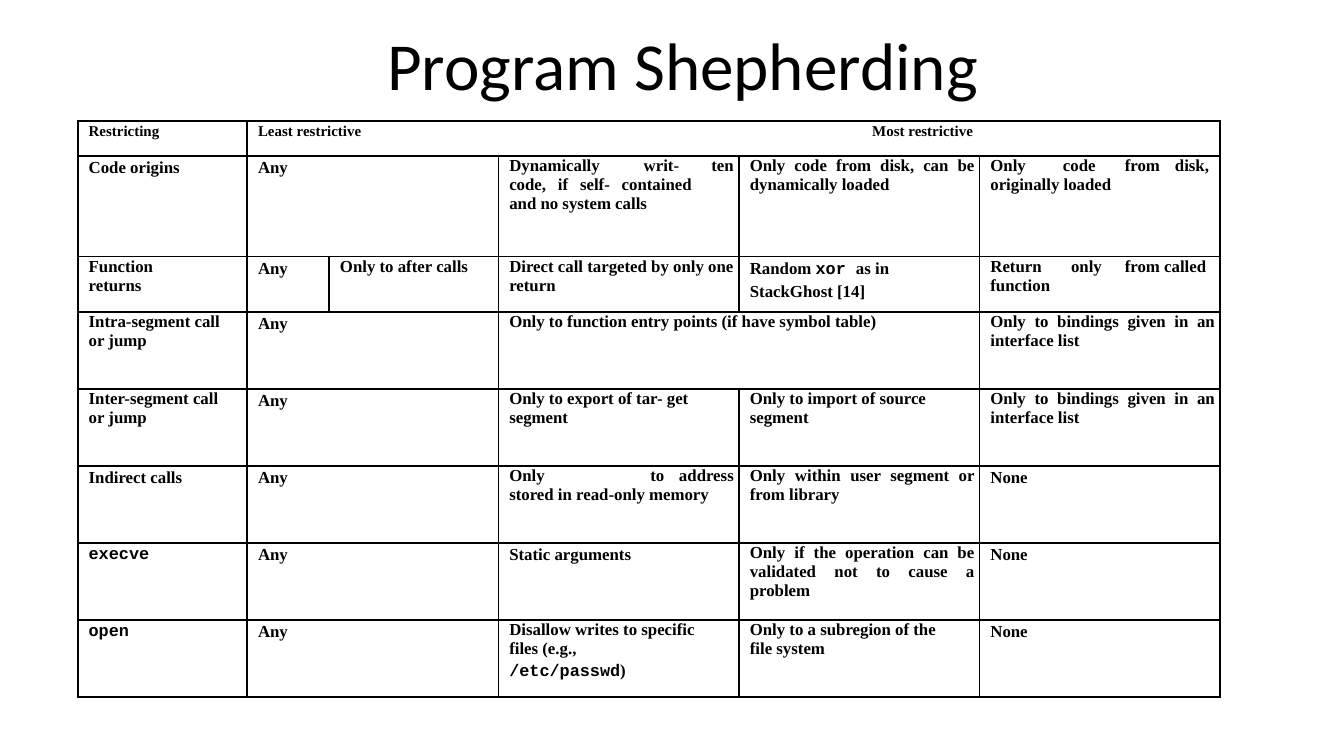
from lxml.etree import SubElement
from pptx import Presentation
from pptx.dml.color import RGBColor
from pptx.enum.text import MSO_ANCHOR, PP_ALIGN
from pptx.oxml.ns import qn
from pptx.util import Inches, Pt

BLACK = RGBColor(0, 0, 0)
LEFT_INDENT = 0.08
RIGHT_INDENT = 0.04
TABLE_HEIGHT = 4.29
COLUMN_WIDTHS = [1.26, 0.61, 1.26, 1.79, 1.79, 1.79]
TOP_ROWS = [0.26, 0.75, 0.41]
ROW_HEIGHTS = TOP_ROWS + [(TABLE_HEIGHT - sum(TOP_ROWS)) / 5] * 5

# Backticks mark monospaced words; a tuple holds several paragraphs.
ROWS = [
    ["Restricting", "Least restrictive\tMost restrictive", None, None, None, None],
    ["Code origins", "Any", None,
     "Dynamically\twrit- ten code, if self- contained\tand no system calls",
     "Only code from disk, can be dynamically loaded",
     "Only\tcode\tfrom disk,\t\toriginally loaded"],
    ["Function returns", "Any", "Only to after calls",
     "Direct call targeted by only one return",
     ("Random `xor `as in", "StackGhost [14]"),
     "Return\tonly\tfrom called function"],
    ["Intra-segment call or jump", "Any", None,
     "Only to function entry points (if have symbol table)", None,
     "Only to bindings given in an interface list"],
    ["Inter-segment call or jump", "Any", None,
     "Only to export of tar- get segment",
     "Only to import of source segment",
     "Only to bindings given in an interface list"],
    ["Indirect calls", "Any", None,
     "Only\tto address stored in read-only memory",
     "Only within user segment or from library", "None"],
    ["`execve`", "Any", None, "Static arguments",
     "Only if the operation can be validated not to cause a problem", "None"],
    ["`open`", "Any", None,
     ("Disallow writes to specific files (e.g.,", "`/etc/passwd`)"),
     "Only to a subregion of the file system", "None"],
]
# Row, first column, last column
MERGES = [(0, 1, 5), (3, 3, 4)] + [(row, 1, 2) for row in (1, 3, 4, 5, 6, 7)]
JUSTIFIED = {(1, 3), (1, 4), (1, 5), (3, 5), (4, 5), (5, 3), (5, 4), (6, 4)}
TAB_STOPS = {
    (0, 1): [4.57],
    (1, 3): [1],
    (1, 5): [0.54, 1],
    (2, 5): [0.6, 1],
    (5, 3): [1.05],
}
NARROW_CELLS = {(2, 0): 0.6, (3, 0): 0.13, (4, 0): 0.13, (7, 3): 0.2, (7, 4): 0.2}


def write_paragraph(para, text, size):
    """Add the text run by run, switching font at backticks."""
    for part, words in enumerate(text.split("`")):
        if words:
            span = para.add_run()
            span.text = words
            span.font.name = "Courier New" if part % 2 else "Times New Roman"
            span.font.size = Pt(size)
            span.font.bold = True
            span.font.color.rgb = BLACK


def format_cell(cell):
    """Clear fill and insets, and draw a thin black border on each side."""
    cell.margin_left = cell.margin_right = cell.margin_top = cell.margin_bottom = 0
    properties = cell._tc.get_or_add_tcPr()
    for side in ("a:lnL", "a:lnR", "a:lnT", "a:lnB"):
        border = SubElement(properties, qn(side), w=str(Pt(0.96)))
        fill = SubElement(border, qn("a:solidFill"))
        SubElement(fill, qn("a:srgbClr"), val=str(BLACK))
    cell.fill.background()


deck = Presentation()
deck.slide_width = Inches(10)
deck.slide_height = Inches(10 * 9 / 16)
slide = deck.slides.add_slide(deck.slide_layouts[5])

title = slide.shapes.title
title.left, title.top = Inches(0.58), Inches(0)
title.width, title.height = Inches(9), Inches(0.94)
title.text_frame.vertical_anchor = MSO_ANCHOR.MIDDLE
para = title.text_frame.paragraphs[0]
para.alignment = PP_ALIGN.CENTER
span = para.add_run()
span.text = "Program Shepherding"
span.font.name = "Calibri"
span.font.size = Pt(36)
span.font.color.rgb = BLACK

table = slide.shapes.add_table(
    len(ROW_HEIGHTS), len(COLUMN_WIDTHS), Inches(0.58), Inches(0.9),
    Inches(sum(COLUMN_WIDTHS)), Inches(TABLE_HEIGHT)).table
table.first_row = table.horz_banding = False
for column, width in zip(table.columns, COLUMN_WIDTHS):
    column.width = Inches(width)
for row, height in zip(table.rows, ROW_HEIGHTS):
    row.height = Inches(height)
for row, first, last in MERGES:
    table.cell(row, first).merge(table.cell(row, last))

for row, texts in enumerate(ROWS):
    for column, content in enumerate(texts):
        cell = table.cell(row, column)
        format_cell(cell)
        if content is None:
            continue
        place = (row, column)
        frame = cell.text_frame
        for number, text in enumerate([content] if isinstance(content, str) else content):
            para = frame.add_paragraph() if number else frame.paragraphs[0]
            short = row == 0 or len(text) <= 18 and place not in NARROW_CELLS or number > 0
            para.line_spacing = 1.15 if short else 1.03
            para.alignment = PP_ALIGN.JUSTIFY if place in JUSTIFIED else PP_ALIGN.LEFT
            properties = para._p.get_or_add_pPr()
            properties.set("marL", str(Inches(LEFT_INDENT)))
            properties.set("marR", str(Inches(NARROW_CELLS.get(place, RIGHT_INDENT))))
            if place in TAB_STOPS:
                stops = SubElement(properties, qn("a:tabLst"))
                for stop in TAB_STOPS[place]:
                    SubElement(stops, qn("a:tab"), pos=str(Inches(stop)), algn="l")
            write_paragraph(para, text, 8 if row == 0 else 9)

deck.save("out.pptx")
